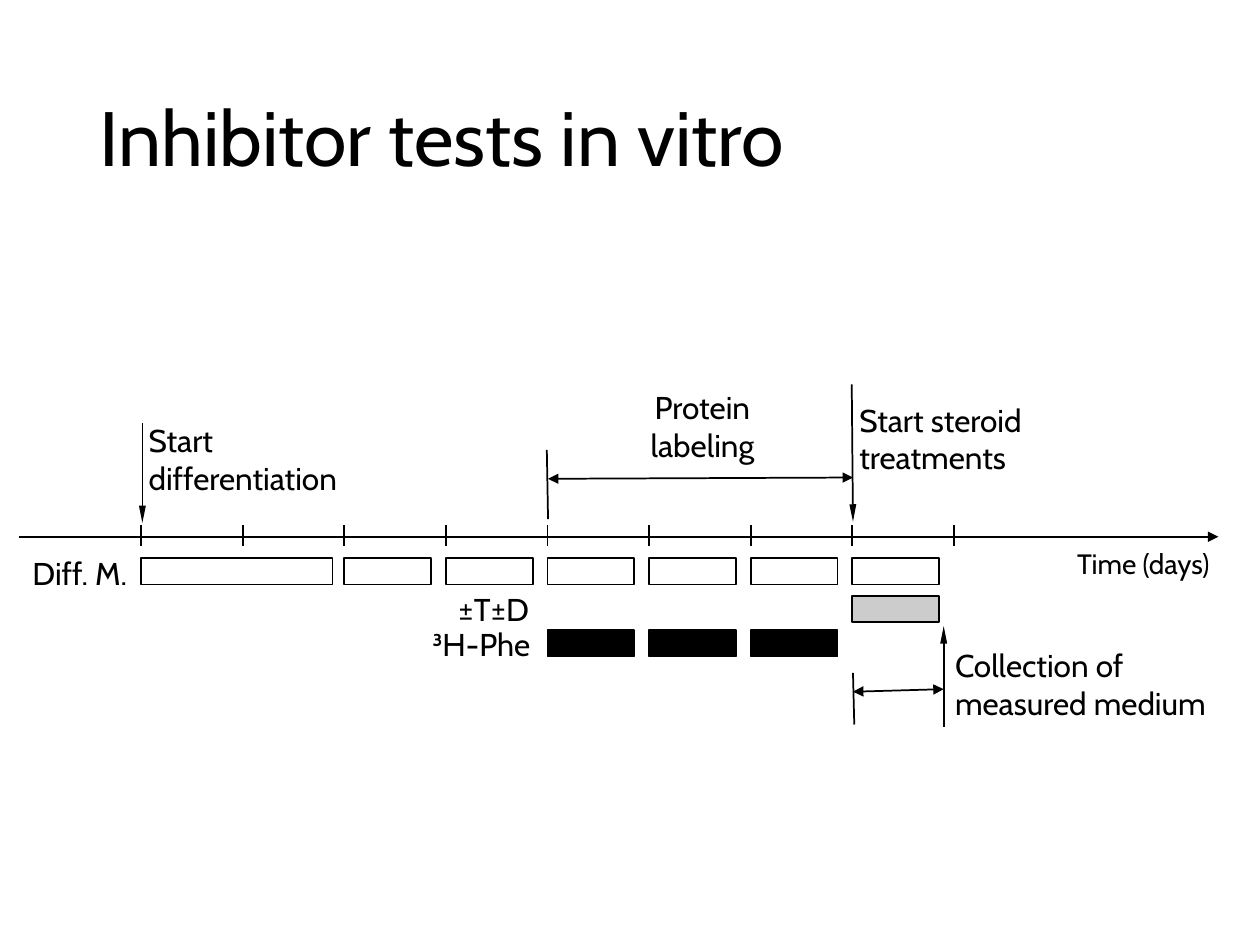
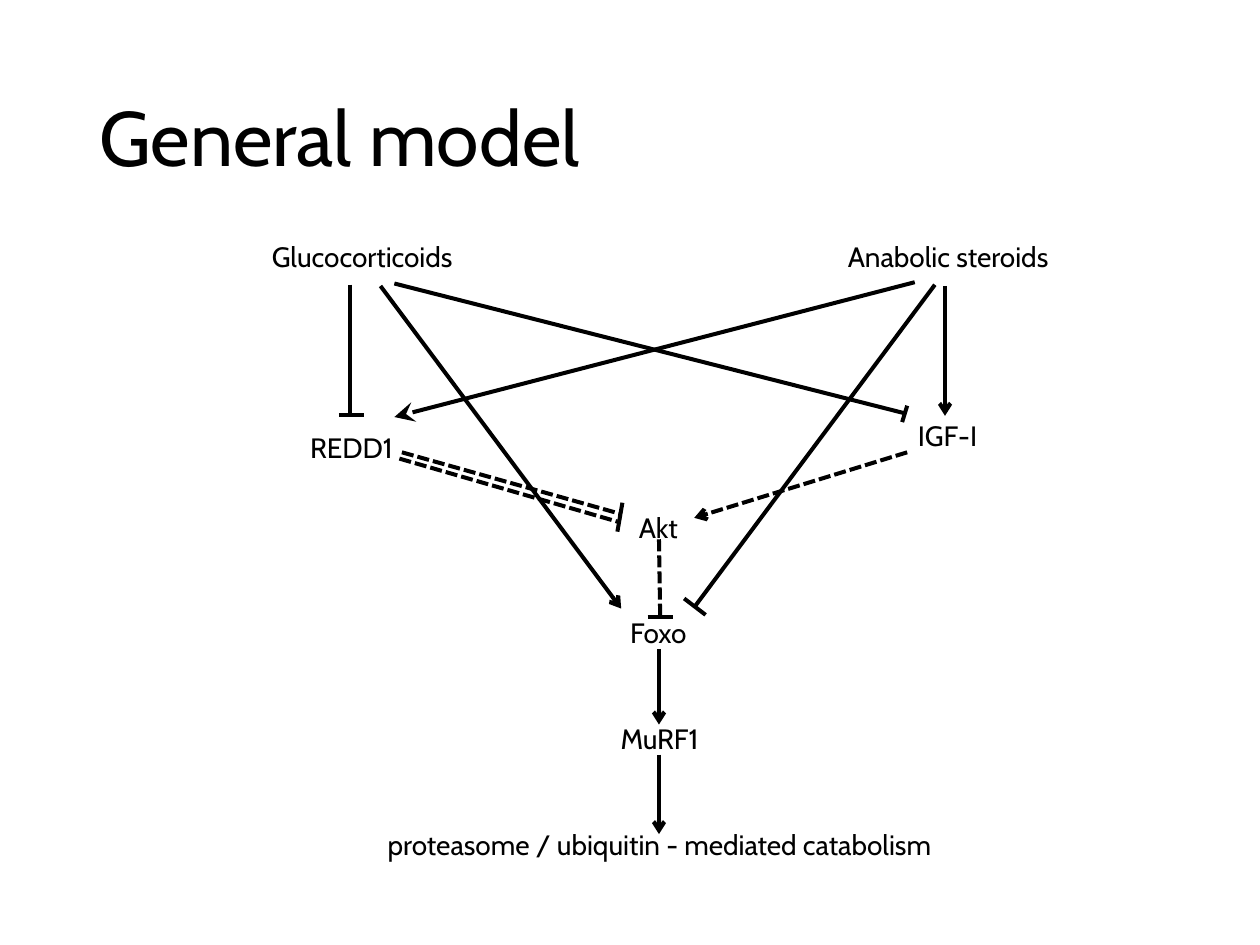
"""Build two slides: an inhibitor test timeline and a general signalling model."""
from dataclasses import dataclass

from lxml import etree
from pptx import Presentation
from pptx.dml.color import RGBColor
from pptx.enum.dml import MSO_LINE
from pptx.enum.shapes import MSO_CONNECTOR, MSO_SHAPE
from pptx.enum.text import MSO_ANCHOR, MSO_AUTO_SIZE, PP_ALIGN
from pptx.oxml.ns import qn
from pptx.util import Inches, Pt

LEFT, CENTER, RIGHT = PP_ALIGN.LEFT, PP_ALIGN.CENTER, PP_ALIGN.RIGHT
TOP, MIDDLE, BOTTOM = MSO_ANCHOR.TOP, MSO_ANCHOR.MIDDLE, MSO_ANCHOR.BOTTOM
STRAIGHT, RECT = MSO_CONNECTOR.STRAIGHT, MSO_SHAPE.RECTANGLE
DASH = MSO_LINE.SQUARE_DOT


@dataclass(frozen=True)
class Theme:
    font: str = "Cabin"
    ink: RGBColor = RGBColor(0, 0, 0)
    paper: RGBColor = RGBColor(255, 255, 255)
    grey: RGBColor = RGBColor(0xCC, 0xCC, 0xCC)
    title: float = 44
    label: float = 18
    small: float = 16
    thin: float = 1
    thick: float = 2.3


theme = Theme()


def add_text(s, text, box, size, align=LEFT, anchor=TOP, insets=(0, 0, 0, 0), wrap=True):
    """Add a text box with one paragraph per line of text."""
    tf = s.shapes.add_textbox(*map(Inches, box)).text_frame
    tf.text = text
    tf.word_wrap = wrap
    tf.auto_size = MSO_AUTO_SIZE.NONE if wrap else MSO_AUTO_SIZE.SHAPE_TO_FIT_TEXT
    tf.vertical_anchor = anchor
    tf.margin_left, tf.margin_top, tf.margin_right, tf.margin_bottom = map(Inches, insets)
    for p in tf.paragraphs:
        p.alignment = align
        p.font.name, p.font.size = theme.font, Pt(size)
        p.font.color.rgb = theme.ink


def add_line(s, points, width, head=None, tail=None, dash=None, scale=("med", "med")):
    """Add a straight line with optional arrowheads."""
    line = s.shapes.add_connector(STRAIGHT, *map(Inches, points))
    line.line.color.rgb = theme.ink
    line.line.width = Pt(width)
    if dash:
        line.line.dash_style = dash
    ln = line.line._get_or_add_ln()
    for tag, kind in (("a:headEnd", head), ("a:tailEnd", tail)):
        if kind:
            etree.SubElement(ln, qn(tag), type=kind, w=scale[0], len=scale[1])
    etree.SubElement(ln.getparent(), qn("a:effectLst"))


prs = Presentation()
prs.slide_width, prs.slide_height = Inches(10), Inches(7.5)
for title in ("Inhibitor tests in vitro", "General model"):
    s = prs.slides.add_slide(prs.slide_layouts[5])
    s.background.fill.solid()
    s.background.fill.fore_color.rgb = theme.paper
    sp = s.shapes.title
    sp.left, sp.top, sp.width, sp.height = map(Inches, (0.69, 0.4, 8.62, 1.45))
    tf = sp.text_frame
    tf.text = title
    tf.vertical_anchor = MIDDLE
    p = tf.paragraphs[0]
    p.alignment, p.line_spacing = LEFT, 0.9
    p.font.name, p.font.size = theme.font, Pt(theme.title)
    p.font.color.rgb = theme.ink
timeline, model = prs.slides

days = [1.12 + day * (7.57 - 1.12) / 8 for day in range(9)]
add_line(timeline, (0.15, 4.26, 9.67, 4.26), theme.thin, tail="triangle")
for x in days:
    add_line(timeline, (x, 4.17, x, 4.33), theme.thin)

bars = [(days[0], 4.43, 1.52, theme.paper)]
bars += [(x, 4.43, 0.69, theme.paper) for x in days[2:8]]
bars += [(x, 5, 0.69, theme.ink) for x in days[4:7]]
bars += [(days[7], 4.73, 0.69, theme.grey)]
for x, y, width, fill in bars:
    sp = timeline.shapes.add_shape(RECT, *map(Inches, (x, y, width, 0.21)))
    sp.shadow.inherit = False
    sp.fill.solid()
    sp.fill.fore_color.rgb = fill
    sp.line.color.rgb = theme.ink
    sp.line.width = Pt(theme.thin)

for points in ((6.76, 3.05, 6.77, 4.14), (1.13, 3.36, 1.13, 4.15), (7.49, 5.77, 7.49, 4.97)):
    add_line(timeline, points, theme.thin, tail="triangle", scale=("sm", "lg"))
for points in ((4.35, 3.8, 6.77, 3.79), (6.77, 5.49, 7.49, 5.47)):
    add_line(timeline, points, theme.thin, head="triangle", tail="triangle")
for points in ((4.34, 3.57, 4.35, 4.12), (6.77, 5.34, 6.78, 5.75)):
    add_line(timeline, points, theme.thin)

for text, box, align, anchor in (
    ("Start steroid\ntreatments", (6.82, 3.07, 1.55, 0.71), LEFT, BOTTOM),
    ("Start\ndifferentiation", (1.18, 3.23, 2.33, 0.71), LEFT, BOTTOM),
    ("Collection of measured medium", (7.58, 5.13, 2, 0.63), LEFT, TOP),
    ("Diff. M.", (0, 4.39, 1.01, 0.32), RIGHT, MIDDLE),
    ("±T±D", (3.05, 4.67, 1.15, 0.32), RIGHT, MIDDLE),
    ("³H-Phe", (2.35, 4.95, 1.86, 0.32), RIGHT, MIDDLE),
):
    add_text(timeline, text, box, theme.label, align, anchor)
add_text(timeline, "Protein\nlabeling", (4.9, 2.75, 1.35, 0.93), theme.label,
         CENTER, BOTTOM, wrap=False)
add_text(timeline, "Time (days)", (7.5, 4.34, 2.1, 0.64), theme.small, RIGHT)

for text, x, y, width in (
    ("Glucocorticoids", 2.05, 1.85, 1.65),
    ("Anabolic steroids", 6.62, 1.85, 1.81),
    ("REDD1", 2.36, 3.37, 0.86),
    ("IGF-I", 7.18, 3.27, 0.68),
    ("Akt", 4.97, 4, 0.51),
    ("Foxo", 4.9, 4.84, 0.65),
    ("MuRF1", 4.82, 5.68, 0.83),
    ("proteasome / ubiquitin - mediated catabolism", 2.95, 6.52, 4.57),
):
    add_text(model, text, (x, y, width, 0.37), theme.small, CENTER,
             insets=(0.1, 0.05, 0.1, 0.05), wrap=False)

activations = (
    (7.5, 2.27, 7.5, 3.3),
    (3.02, 2.27, 4.93, 4.83),
    (5.23, 5.15, 5.23, 5.75),
    (5.23, 5.99, 5.23, 6.62),
)
for points in activations:
    add_line(model, points, theme.thick, tail="arrow")
add_line(model, (7.2, 3.59, 5.51, 4.11), theme.thick, tail="arrow", dash=DASH)
add_line(model, (3.13, 3.31, 7.26, 2.24), theme.thick, head="stealth", scale=("lg", "lg"))

inhibitions = (
    (2.78, 2.26, 2.78, 3.29),
    (3.13, 2.25, 7.18, 3.28),
    (7.42, 2.26, 5.51, 4.82),
)
end_bars = (
    (2.69, 3.29, 2.89, 3.29),
    (7.16, 3.35, 7.2, 3.22),
    (5.43, 4.75, 5.6, 4.88),
    (5.14, 4.9, 5.34, 4.9),
    (4.9, 4.22, 4.94, 3.99),
)
for points in inhibitions + end_bars:
    add_line(model, points, theme.thick)
for points in ((3.19, 3.59, 4.93, 4.08), (3.17, 3.64, 4.9, 4.14), (5.23, 4.28, 5.24, 4.91)):
    add_line(model, points, theme.thick, dash=DASH)

prs.save("out.pptx")
